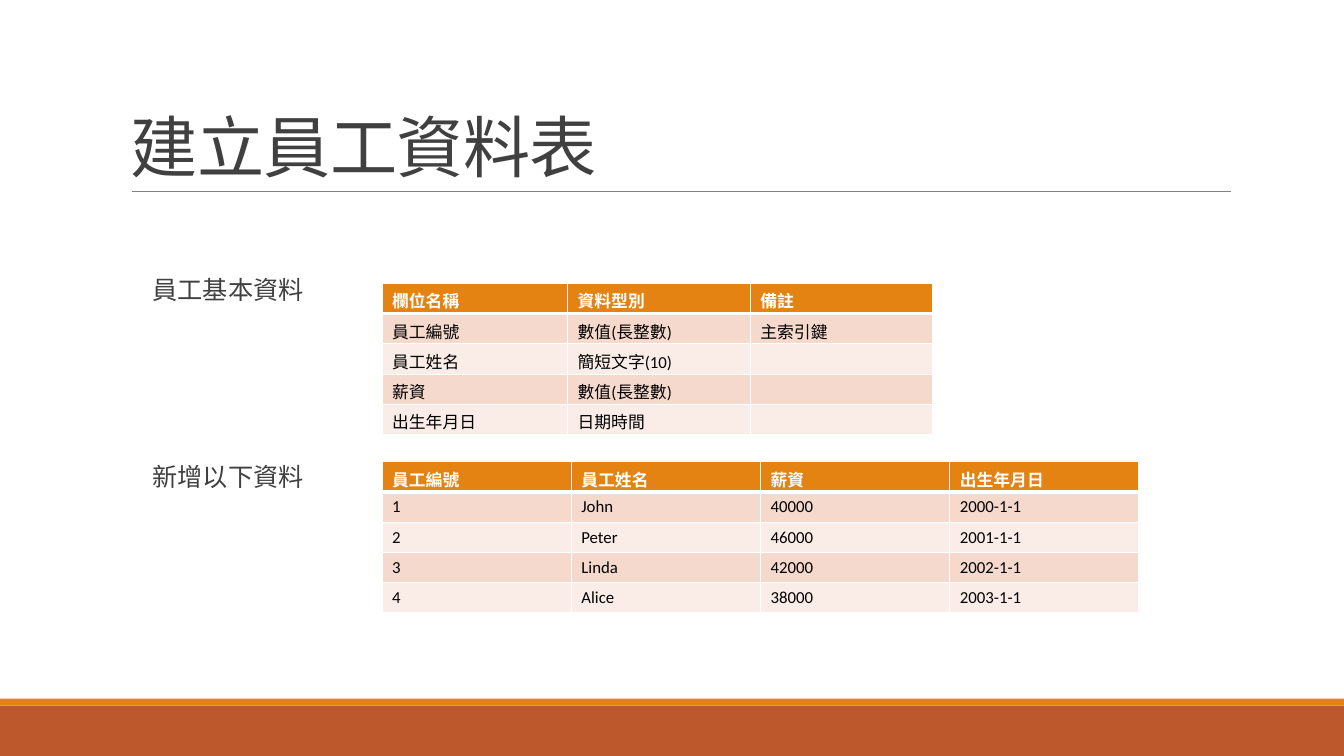
from dataclasses import dataclass

from lxml import etree
from pptx import Presentation
from pptx import util as u
from pptx.dml.color import RGBColor
from pptx.enum import shapes, text
from pptx.oxml.ns import qn


@dataclass(frozen=True)
class Theme:
    font: str = "Calibri"
    heading: str = "404040"
    cell: str = "000000"
    white: str = "FFFFFF"
    accent: str = "E48312"
    footer: str = "BD582C"
    rule: str = "808080"
    bands: tuple = ("F5D9CC", "FAEDE7")
    title_size: float = 48
    label_size: float = 18
    table_size: float = 12
    rule_width: float = 0.5
    border: float = 1
    header_border: float = 3


class Page:
    """Draws on one slide; every length is a percentage of the slide's size."""

    def __init__(self, deck, theme):
        self.width, self.height = deck.slide_width, deck.slide_height
        self.theme = theme
        self.shapes = deck.slides.add_slide(deck.slide_layouts[6]).shapes

    def x(self, share):
        return round(self.width * share / 100)

    def y(self, share):
        return round(self.height * share / 100)

    def area(self, left, top, width, height):
        return self.x(left), self.y(top), self.x(width), self.y(height)

    def style(self, paragraph, size, color, bold=False):
        font = paragraph.font
        font.name, font.size, font.bold = self.theme.font, u.Pt(size), bold
        font.color.rgb = RGBColor.from_string(color)

    def band(self, top, height, color):
        strip = self.shapes.add_shape(shapes.MSO_SHAPE.RECTANGLE, *self.area(0, top, 100, height))
        strip.shadow.inherit = False
        strip.fill.solid()
        strip.fill.fore_color.rgb = RGBColor.from_string(color)
        strip.line.fill.background()

    def rule(self, left, right, y):
        rule = self.shapes.add_connector(
            shapes.MSO_CONNECTOR.STRAIGHT, self.x(left), self.y(y), self.x(right), self.y(y))
        rule.line.color.rgb = RGBColor.from_string(self.theme.rule)
        rule.line.width = u.Pt(self.theme.rule_width)
        etree.SubElement(rule.line._get_or_add_ln().getparent(), qn("a:effectLst"))

    def words(self, content, area, size, line_spacing, anchor=text.MSO_ANCHOR.TOP):
        frame = self.shapes.add_textbox(*self.area(*area)).text_frame
        frame.word_wrap, frame.vertical_anchor = True, anchor
        paragraph = frame.paragraphs[0]
        paragraph.text, paragraph.line_spacing = content, line_spacing
        self.style(paragraph, size, self.theme.heading)
        return paragraph

    def title(self, content, area):
        heading = self.words(content, area, self.theme.title_size, 0.85, text.MSO_ANCHOR.BOTTOM)
        heading.runs[0].font._element.set("spc", "-50")

    def label(self, content, area):
        self.words(content, area, self.theme.label_size, 0.9)

    def cell_borders(self, cell, row):
        """White lines, thicker between the header and the first row."""
        heavy_side = {0: "B", 1: "T"}.get(row)
        for side in "LRTB":
            width = self.theme.header_border if side == heavy_side else self.theme.border
            line = etree.SubElement(
                cell._tc.get_or_add_tcPr(), qn(f"a:ln{side}"), w=str(u.Pt(width)))
            fill = etree.SubElement(line, qn("a:solidFill"))
            etree.SubElement(fill, qn("a:srgbClr"), val=self.theme.white)

    def table(self, rows, left, top, column_widths, row_height):
        theme = self.theme
        area = self.area(left, top, sum(column_widths), row_height * len(rows))
        table = self.shapes.add_table(len(rows), len(column_widths), *area).table
        for column, width in zip(table.columns, column_widths):
            column.width = self.x(width)
        for r, values in enumerate(rows):
            table.rows[r].height = self.y(row_height)
            header = r == 0
            for c, value in enumerate(values):
                cell = table.cell(r, c)
                self.cell_borders(cell, r)
                cell.fill.solid()
                cell.fill.fore_color.rgb = RGBColor.from_string(
                    theme.accent if header else theme.bands[(r - 1) % 2])
                paragraph = cell.text_frame.paragraphs[0]
                if value:
                    paragraph.text = value
                self.style(paragraph, theme.table_size,
                           theme.white if header else theme.cell, header)


FIELDS = [
    ("欄位名稱", "資料型別", "備註"),
    ("員工編號", "數值(長整數)", "主索引鍵"),
    ("員工姓名", "簡短文字(10)", ""),
    ("薪資", "數值(長整數)", ""),
    ("出生年月日", "日期時間", ""),
]
EMPLOYEES = [
    ("員工編號", "員工姓名", "薪資", "出生年月日"),
    ("1", "John", "40000", "2000-1-1"),
    ("2", "Peter", "46000", "2001-1-1"),
    ("3", "Linda", "42000", "2002-1-1"),
    ("4", "Alice", "38000", "2003-1-1"),
]


def main():
    deck = Presentation()
    deck.slide_width, deck.slide_height = u.Inches(13.33), u.Inches(7.5)
    theme = Theme()
    page = Page(deck, theme)

    page.band(93.33, 6.67, theme.footer)
    page.band(92.4, 0.93, theme.accent)
    page.rule(9.83, 91.6, 25.33)
    page.title("建立員工資料表", (9, 4.13, 82.5, 21.2))

    label_left, label_width, label_height = 10.6, 16, 6
    table_left, row_height = 28.43, 3.6
    page.label("員工基本資料", (label_left, 36.13, label_width, label_height))
    page.label("新增以下資料", (label_left, 60.87, label_width, label_height))
    page.table(FIELDS, table_left, 37.47, [13.8, 13.6, 13.6], row_height)
    page.table(EMPLOYEES, table_left, 61.07, [14.08] * 4, row_height)

    deck.save("out.pptx")


if __name__ == "__main__":
    main()
